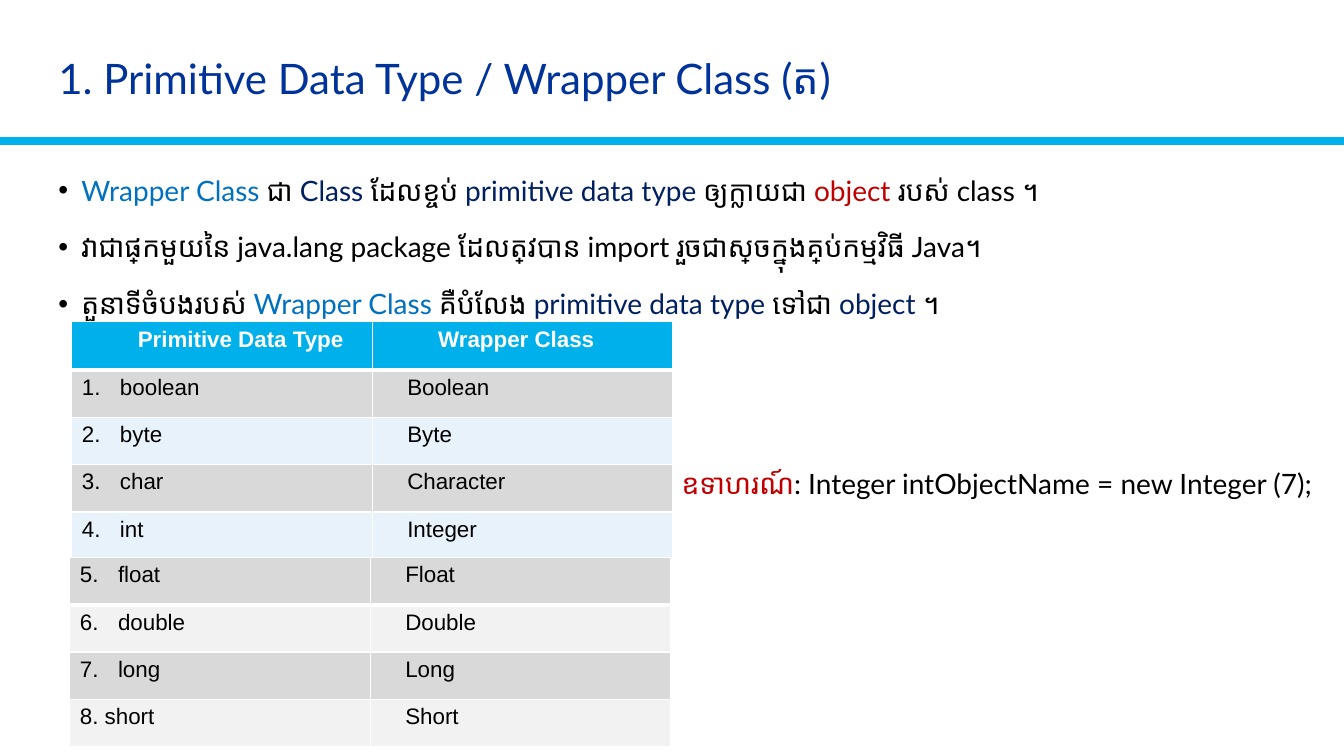
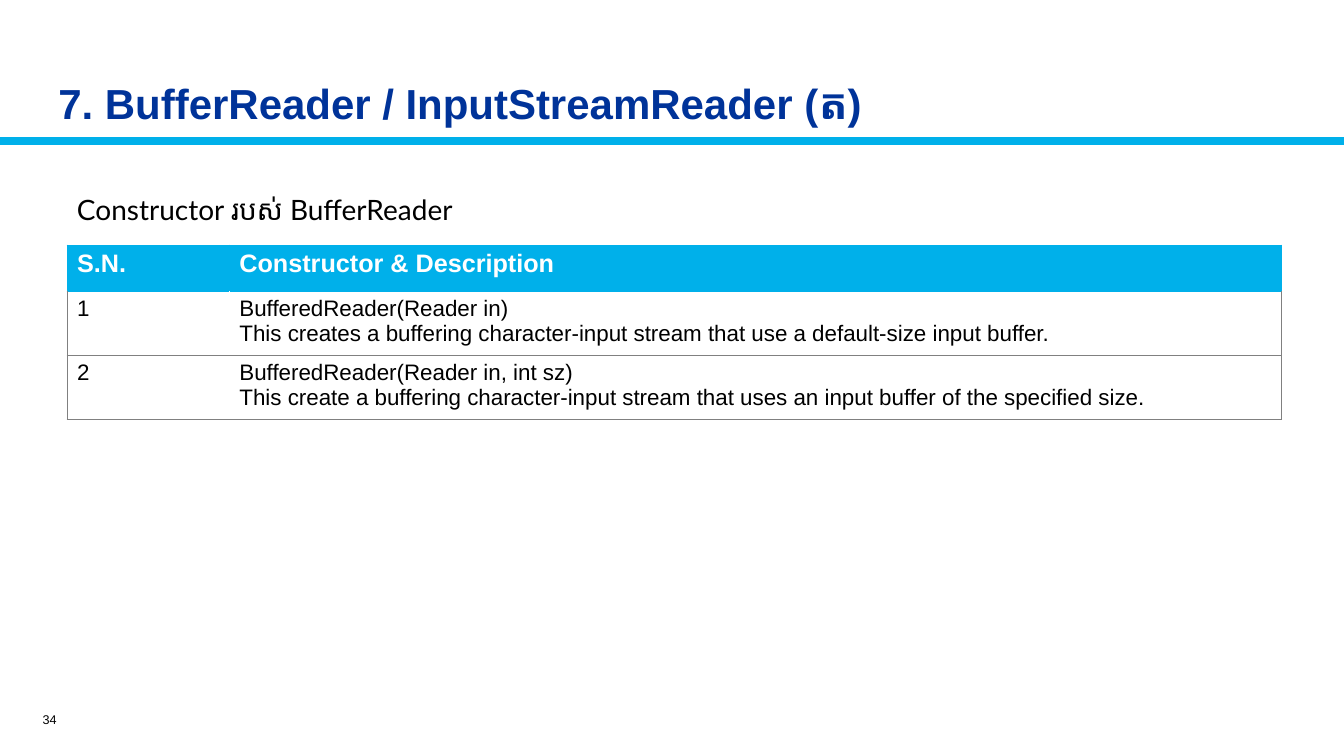
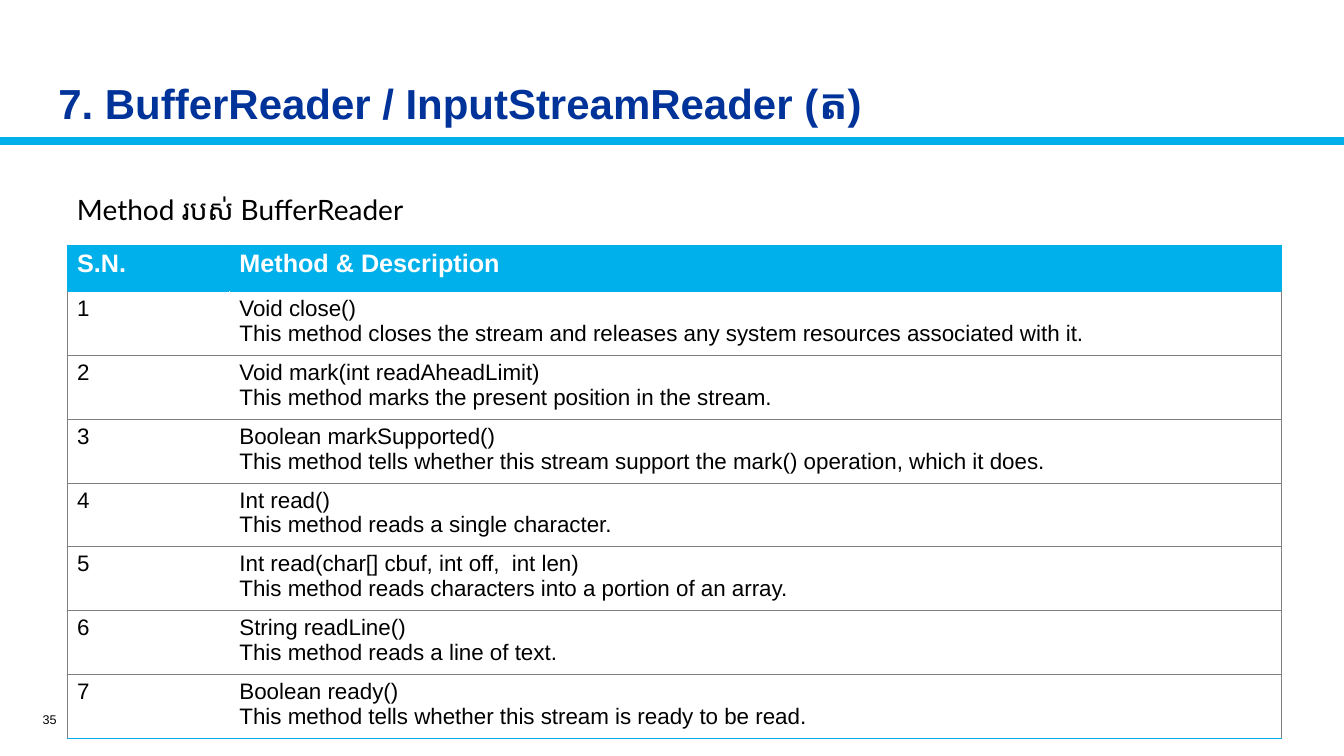
from pptx import Presentation
from pptx.dml.color import RGBColor
from pptx.enum.shapes import MSO_CONNECTOR as Connector
from pptx.enum.text import MSO_ANCHOR as Anchor, PP_ALIGN as Align
from pptx.oxml.ns import qn
from pptx.util import Cm, Pt
from lxml.etree import SubElement

COLORS = {
    "title": "003399",
    "accent": "00B0EA",
    "term": "0070C0",
    "navy": "002060",
    "red": "C00000",
    "black": "000000",
    "white": "FFFFFF",
    "rule": "808080",
    "gray": "D9D9D9",
    "pale_blue": "E7F2FB",
    "pale_gray": "F2F2F2",
}


class Deck:
    heading_font = "Lato"
    table_font = "Arial"

    def __init__(self):
        self.presentation = Presentation()
        self.presentation.slide_width = Cm(33.87)
        self.presentation.slide_height = Cm(19.05)
        self.slide = None

    def add_slide(self):
        layout = self.presentation.slide_layouts[6]
        self.slide = self.presentation.slides.add_slide(layout)
        band = self.slide.shapes.add_connector(
            Connector.STRAIGHT, 0, Cm(3.56), self.presentation.slide_width, Cm(3.56))
        band.line.color.rgb = self.color("accent")
        band.line.width = Pt(6)
        SubElement(band._element.spPr, qn("a:effectLst"))

    def color(self, name):
        return RGBColor.from_string(COLORS[name])

    def style(self, paragraph, size, color="black", font=None, bold=False):
        paragraph.font.name = font or self.heading_font
        paragraph.font.size = Pt(size)
        paragraph.font.bold = bold
        paragraph.font.color.rgb = self.color(color)

    def indent(self, paragraph, margin, hanging=0):
        properties = paragraph._p.get_or_add_pPr()
        properties.set("marL", str(Cm(margin)))
        properties.set("indent", str(-Cm(hanging)))
        return properties

    def bullet(self, paragraph):
        properties = self.indent(paragraph, 0.58, 0.58)
        color = SubElement(properties, qn("a:buClr"))
        SubElement(color, qn("a:srgbClr"), val=COLORS["black"])
        SubElement(properties, qn("a:buFont"), typeface="Arial")
        SubElement(properties, qn("a:buChar"), char="•")

    def number(self, paragraph, start):
        properties = self.indent(paragraph, 0.96, 0.96)
        SubElement(properties, qn("a:buFont"), typeface="+mj-lt")
        SubElement(properties, qn("a:buAutoNum"), type="arabicPeriod", startAt=str(start))

    def text_frame(self, left, top, width, height, anchor=Anchor.TOP):
        box = self.slide.shapes.add_textbox(Cm(left), Cm(top), Cm(width), Cm(height))
        frame = box.text_frame
        frame.word_wrap = True
        frame.vertical_anchor = anchor
        return frame

    def title(self, text, top=1.0, font=None, bold=False):
        frame = self.text_frame(1.22, top, 29.9, 2.1, Anchor.MIDDLE)
        paragraph = frame.paragraphs[0]
        paragraph.text = text
        paragraph.line_spacing = 0.9
        self.style(paragraph, 30, "title", font, bold)

    def body(self, left, top, width, height, lines, bulleted=False):
        frame = self.text_frame(left, top, width, height)
        for index, runs in enumerate(lines):
            paragraph = frame.add_paragraph() if index else frame.paragraphs[0]
            if bulleted:
                self.bullet(paragraph)
            if index:
                paragraph.space_before = Pt(16.5)
            self.style(paragraph, 20)
            for text, color in runs:
                run = paragraph.add_run()
                run.text = text
                if color != "black":
                    run.font.color.rgb = self.color(color)

    def page_number(self, number):
        frame = self.text_frame(0.23, 17.75, 1.45, 0.76, Anchor.MIDDLE)
        paragraph = frame.paragraphs[0]
        paragraph.text = str(number)
        paragraph.alignment = Align.RIGHT
        self.style(paragraph, 9, font=self.table_font)

    def table(self, left, top, widths, heights):
        frame = self.slide.shapes.add_table(
            len(heights), len(widths), Cm(left), Cm(top), Cm(sum(widths)), Cm(sum(heights)))
        table = frame.table
        table.first_row = table.horz_banding = False
        for column, width in zip(table.columns, widths):
            column.width = Cm(width)
        for row, height in zip(table.rows, heights):
            row.height = Cm(height)
        return table

    def cell(self, cell, text, fill, borders, size=16, color="black", bold=False,
             margin=0, start=None):
        properties = cell._tc.get_or_add_tcPr()
        for side, (border_color, width) in zip("LRTB", borders):
            line = SubElement(properties, qn(f"a:ln{side}"), w=str(Pt(width)))
            solid = SubElement(line, qn("a:solidFill"))
            SubElement(solid, qn("a:srgbClr"), val=COLORS[border_color])
        cell.fill.solid()
        cell.fill.fore_color.rgb = self.color(fill)
        cell.text = text
        for paragraph in cell.text_frame.paragraphs:
            if start:
                self.number(paragraph, start)
            elif margin:
                self.indent(paragraph, margin)
            self.style(paragraph, size, color, self.table_font, bold)

    def type_table(self, left, top, types, first, even_fill, header=None):
        heights = [1.22] * bool(header) + [1.19] * len(types)
        table = self.table(left, top, [7.57, 7.57], heights)
        thin, thick = ("white", 1), ("white", 3)
        top_row = [thin, thin, thin, thick]
        if header:
            for column, text in enumerate(header):
                self.cell(table.cell(0, column), text, "accent", top_row,
                          color="white", bold=True, margin=1.41)
        for offset, (primitive, wrapper) in enumerate(types):
            row = offset + bool(header)
            number = first + offset
            borders = [thin, thin, thick if row == 1 and header or row == 1 else thin,
                       thin] if row else top_row
            fill = "gray" if number % 2 else even_fill
            start = None if primitive[0].isdigit() else number
            self.cell(table.cell(row, 0), primitive, fill, borders, start=start)
            self.cell(table.cell(row, 1), wrapper, fill, borders, margin=0.63)

    def member_table(self, kind, members, bottom):
        heights = [1.17] + [1.51] * len(members)
        table = self.table(1.69, 6.17, [4.09, 26.51], heights)
        accent, rule, blank = ("accent", 0.5), ("rule", 0.5), ("white", 0.5)
        for column, text in enumerate(["S.N.", f"{kind} & Description"]):
            self.cell(table.cell(0, column), text, "accent", [accent] * 4,
                      size=18, color="white", bold=True)
        for row, member in enumerate(members, 1):
            upper = accent if row == 1 else rule
            lower = (bottom, 0.5) if row == len(members) else rule
            self.cell(table.cell(row, 0), str(row), "white", [rule, blank, upper, lower])
            self.cell(table.cell(row, 1), "\n".join(member), "white",
                      [blank, rule, upper, lower])

    def reader_slide(self, page, kind, members, bottom):
        self.add_slide()
        self.title("7. BufferReader / InputStreamReader (ត)", 1.61, self.table_font, True)
        self.page_number(page)
        self.body(1.69, 4.72, 30.6, 1.3, [[(f"{kind} របស់ BufferReader", "black")]])
        self.member_table(kind, members, bottom)


def main():
    deck = Deck()

    deck.add_slide()
    deck.title("1. Primitive Data Type / Wrapper Class (ត)")
    deck.body(1.22, 4.24, 31.95, 4.2, [
        [("Wrapper Class ", "term"), ("ជា ", "black"), ("Class ", "navy"),
         ("ដែលខ្ចប់ ", "black"), ("primitive data type ", "navy"),
         ("ឲ្យក្លាយជា ", "black"), ("object ", "red"), ("របស់ class ។", "black")],
        [("វាជាផ្នែកមួយនៃ java.lang package ដែលត្រូវបាន import "
          "រួចជាស្រេចក្នុងគ្រប់កម្មវិធី Java។", "black")],
        [("តួនាទីចំបងរបស់ ", "black"), ("Wrapper Class ", "term"), ("គឺបំលែង ", "black"),
         ("primitive data type ", "navy"), ("ទៅជា ", "black"), ("object ", "navy"),
         ("។", "black")],
    ], bulleted=True)
    deck.type_table(1.81, 8.11, [
        ("boolean", "Boolean"), ("byte", "Byte"), ("char", "Character"), ("int", "Integer"),
    ], 1, "pale_blue", ["Primitive Data Type", "Wrapper Class"])
    deck.type_table(1.76, 14.05, [
        ("float", "Float"), ("double", "Double"), ("long", "Long"), ("8. short", "Short"),
    ], 5, "pale_gray")
    deck.body(16.93, 11.63, 16.93, 1.88, [
        [("ឧទាហរណ៍", "red"), (": Integer intObjectName = new Integer (7);", "black")],
    ])

    deck.reader_slide(34, "Constructor", [
        ("BufferedReader(Reader in)",
         "This creates a buffering character-input stream that use a default-size input buffer."),
        ("BufferedReader(Reader in, int sz)",
         "This create a buffering character-input stream that uses an input buffer "
         "of the specified size."),
    ], "rule")

    deck.reader_slide(35, "Method", [
        ("Void close()",
         "This method closes the stream and releases any system resources associated with it."),
        ("Void mark(int readAheadLimit)",
         "This method marks the present position in the stream."),
        ("Boolean markSupported()",
         "This method tells whether this stream support the mark() operation, which it does."),
        ("Int read()", "This method reads a single character."),
        ("Int read(char[] cbuf, int off,  int len)",
         "This method reads characters into a portion of an array."),
        ("String readLine()", "This method reads a line of text."),
        ("Boolean ready()", "This method tells whether this stream is ready to be read."),
    ], "accent")

    deck.presentation.save("out.pptx")


if __name__ == "__main__":
    main()
